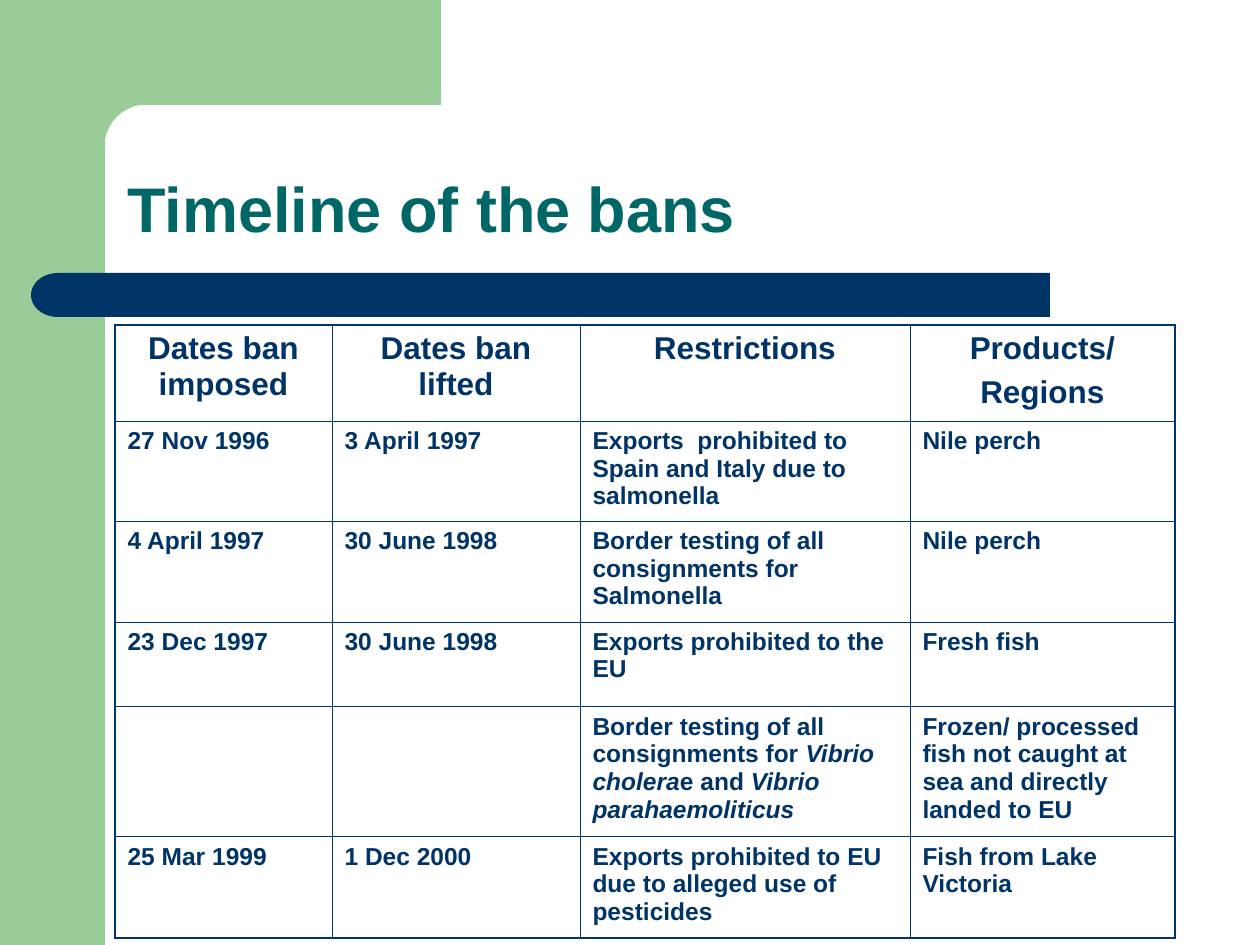
from math import cos, pi, sin

from lxml.etree import fromstring
from pptx import Presentation
from pptx.dml.color import RGBColor
from pptx.enum.shapes import MSO_SHAPE as SHAPE
from pptx.enum.text import MSO_ANCHOR as ANCHOR, PP_ALIGN as ALIGN
from pptx.util import Pt

PX = 914400 // 126
NAMESPACE = "http://schemas.openxmlformats.org/drawingml/2006/main"
FONT = "Arial"
COLORS = {"green": "99CC99", "navy": "003366", "teal": "006666"}

TITLE = "Timeline of the bans"
HEADERS = ["Dates ban imposed", "Dates ban lifted", "Restrictions", "Products/\nRegions"]
BANS = [
    ["27 Nov 1996", "3 April 1997",
     "Exports  prohibited to Spain and Italy due to salmonella", "Nile perch"],
    ["4 April 1997", "30 June 1998",
     "Border testing of all consignments for Salmonella", "Nile perch"],
    ["23 Dec 1997", "30 June 1998", "Exports prohibited to the EU", "Fresh fish"],
    ["", "",
     "Border testing of all consignments for *Vibrio cholera*e and *Vibrio parahaemoliticus*",
     "Frozen/ processed fish not caught at sea and directly landed to EU"],
    ["25 Mar 1999", "1 Dec 2000",
     "Exports prohibited to EU due to alleged use of pesticides", "Fish from Lake Victoria"],
]
COLUMN_WIDTHS = [217, 248, 330, 265]
ROW_HEIGHTS = [96, 100, 101, 85, 130, 101]
TABLE_LEFT, TABLE_TOP = 115, 325
THIN, THICK = Pt(0.45), Pt(1.08)

BAND_WIDTH, BAND_HEIGHT, CORNER = 105, 105, 41


def color(name):
    return RGBColor.from_string(COLORS[name])


def paint(shape, name):
    shape.fill.solid()
    shape.fill.fore_color.rgb = color(name)
    shape.line.fill.background()
    shape.shadow.inherit = False


def add_block(slide, kind, box, name):
    shape = slide.shapes.add_shape(kind, *(value * PX for value in box))
    paint(shape, name)
    return shape


def add_corner(slide):
    center_x, center_y = BAND_WIDTH + CORNER, BAND_HEIGHT + CORNER
    angles = [step * pi / 24 for step in range(13)]
    arc = [(round(center_x - CORNER * sin(angle)), round(center_y - CORNER * cos(angle)))
           for angle in angles]
    outline = [(441, BAND_HEIGHT), *arc, (BAND_WIDTH, 161), (63, 161), (63, 0)]
    builder = slide.shapes.build_freeform(441, 0, scale=PX)
    builder.add_line_segments(outline, close=True)
    paint(builder.convert_to_shape(), "green")


def add_title(slide):
    title = slide.shapes.title
    title.left, title.top, title.width, title.height = (v * PX for v in (115, 115, 1072, 137))
    frame = title.text_frame
    frame.text = TITLE
    frame.word_wrap = True
    frame.vertical_anchor = ANCHOR.BOTTOM
    paragraph = frame.paragraphs[0]
    paragraph.alignment = ALIGN.LEFT
    paragraph.line_spacing = 0.9
    font = paragraph.font
    font.name, font.size, font.bold = FONT, Pt(36), True
    font.color.rgb = color("teal")


def write_cell(cell, text, is_header):
    cell.fill.background()
    cell.text = text.replace("*", "")
    for paragraph, line in zip(cell.text_frame.paragraphs, text.split("\n")):
        paragraph.alignment = ALIGN.CENTER if is_header else ALIGN.LEFT
        paragraph.space_before = Pt(4.5 if is_header else 3.5)
        paragraph.clear()
        for index, part in enumerate(line.split("*")):
            if not part:
                continue
            run = paragraph.add_run()
            run.text = part
            font = run.font
            font.name, font.size, font.bold = FONT, Pt(18 if is_header else 14), True
            font.italic = index % 2 == 1
            font.color.rgb = color("navy")


def set_borders(cell, outer_sides):
    properties = cell._tc.get_or_add_tcPr()
    for index, side in enumerate("LRTB"):
        width = THICK if side in outer_sides else THIN
        properties.insert(index, fromstring(
            f'<a:ln{side} xmlns:a="{NAMESPACE}" w="{width}"><a:solidFill>'
            f'<a:srgbClr val="{COLORS["navy"]}"/></a:solidFill></a:ln{side}>'))


def add_ban_table(slide):
    rows = [HEADERS, *BANS]
    box = (TABLE_LEFT, TABLE_TOP, sum(COLUMN_WIDTHS), sum(ROW_HEIGHTS))
    table = slide.shapes.add_table(len(rows), len(HEADERS), *(v * PX for v in box)).table
    table.first_row = table.horz_banding = False
    for column, width in zip(table.columns, COLUMN_WIDTHS):
        column.width = width * PX
    for row, height in zip(table.rows, ROW_HEIGHTS):
        row.height = height * PX
    for r, texts in enumerate(rows):
        for c, text in enumerate(texts):
            cell = table.cell(r, c)
            write_cell(cell, text, r == 0)
            edges = {"L": c == 0, "R": c == len(texts) - 1, "T": r == 0, "B": r == len(rows) - 1}
            set_borders(cell, [side for side, is_outer in edges.items() if is_outer])


def main():
    presentation = Presentation()
    presentation.slide_width, presentation.slide_height = 1260 * PX, 945 * PX
    slide = presentation.slides.add_slide(presentation.slide_layouts[5])
    add_block(slide, SHAPE.RECTANGLE, (0, 0, BAND_WIDTH, 945), "green")
    add_corner(slide)
    add_block(slide, SHAPE.RECTANGLE, (84, 273, 966, 44), "navy")
    cap = add_block(slide, SHAPE.FLOWCHART_DELAY, (31, 273, 54, 44), "navy")
    cap._element.spPr.xfrm.set("flipH", "1")
    add_title(slide)
    add_ban_table(slide)
    presentation.save("out.pptx")


if __name__ == "__main__":
    main()
